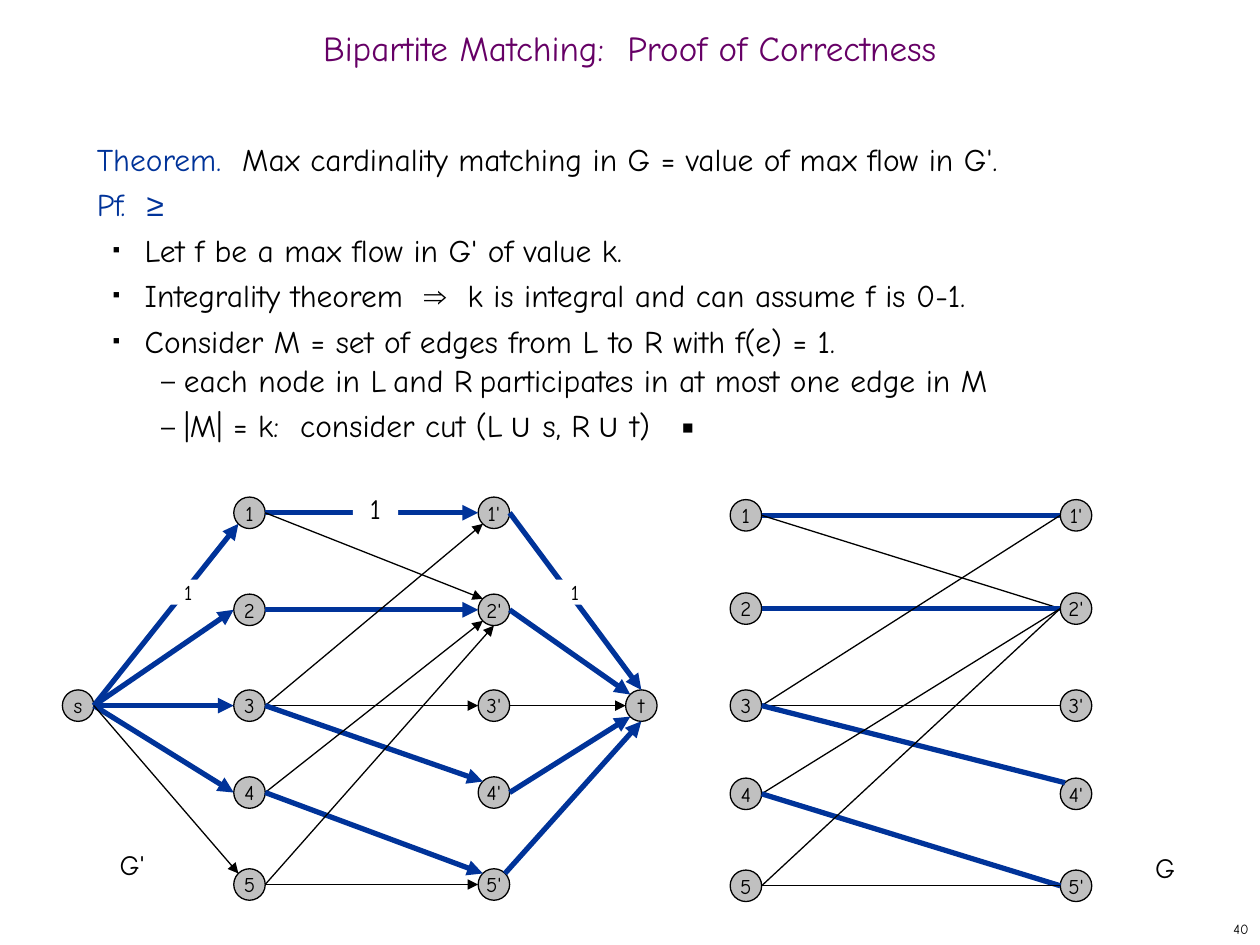
import pptx
import pptx.dml.color
import pptx.enum.shapes
import pptx.enum.text
import pptx.oxml
import pptx.oxml.ns
import pptx.util
from pptx.util import Inches

COLORS = {
    "text": "000000",
    "accent": "003399",
    "title": "660066",
    "node": "C0C0C0",
    "paper": "FFFFFF",
}
FONT = "Comic Neue"
SYMBOL_FONT = "Arial"
ALIGN = pptx.enum.text.PP_ALIGN
ANCHOR = pptx.enum.text.MSO_ANCHOR
SHAPE = pptx.enum.shapes.MSO_SHAPE
DIAGONAL = 0.7
SIDES = {
    "n": (0, -1), "s": (0, 1), "e": (1, 0), "w": (-1, 0),
    "nw": (-DIAGONAL, -DIAGONAL), "ne": (DIAGONAL, -DIAGONAL),
    "sw": (-DIAGONAL, DIAGONAL),
}
BULLETS = {1: ("■", 35, 0.38, -0.25), 2: ("–", 80, 0.69, -0.18)}


def color(name):
    return pptx.dml.color.RGBColor.from_string(COLORS[name])


def add_element(parent, tag, **attributes):
    element = pptx.oxml.parse_xml(f"<a:{tag} {pptx.oxml.ns.nsdecls('a')}/>")
    for name, value in attributes.items():
        element.set(name, str(value))
    parent.append(element)
    return element


class SlideBuilder:
    def __init__(self, slide, radius=0.125):
        self.slide = slide
        self.radius = radius

    def add_run(self, paragraph, text, size=18, ink="text", font=FONT, baseline=0):
        run = paragraph.add_run()
        run.text = text
        run.font.size = pptx.util.Pt(size)
        run.font.name = font
        run.font.color.rgb = color(ink)
        if baseline:
            run.font._element.set("baseline", str(baseline))

    def set_frame(self, frame, anchor=ANCHOR.TOP, wrap=True, inset=None):
        frame.word_wrap = wrap
        frame.vertical_anchor = anchor
        if inset is not None:
            frame.margin_left = frame.margin_right = Inches(inset)
            frame.margin_top = frame.margin_bottom = Inches(inset)

    def add_bullet(self, paragraph, level):
        character, percent, margin, indent = BULLETS[level]
        paragraph.level = level
        properties = paragraph._p.get_or_add_pPr()
        properties.set("marL", str(Inches(margin)))
        properties.set("indent", str(Inches(indent)))
        bullet_color = add_element(properties, "buClr")
        add_element(bullet_color, "srgbClr", val=COLORS["text"])
        add_element(properties, "buSzPct", val=percent * 1000)
        add_element(properties, "buFont", typeface=SYMBOL_FONT)
        add_element(properties, "buChar", char=character)

    def add_text(self, box, lines, align=ALIGN.LEFT, spacing=None, **frame_options):
        frame = self.slide.shapes.add_textbox(*map(Inches, box)).text_frame
        self.set_frame(frame, **frame_options)
        for index, (level, runs) in enumerate(lines):
            paragraph = frame.add_paragraph() if index else frame.paragraphs[0]
            if level:
                self.add_bullet(paragraph, level)
            paragraph.alignment = align
            if spacing:
                paragraph.line_spacing = spacing
            for text, options in runs:
                self.add_run(paragraph, text, **options)

    def add_shape(self, kind, box, fill, text, size):
        shape = self.slide.shapes.add_shape(kind, *map(Inches, box))
        shape.shadow.inherit = False
        shape.fill.solid()
        shape.fill.fore_color.rgb = color(fill)
        paragraph = shape.text_frame.paragraphs[0]
        paragraph.alignment = ALIGN.CENTER
        self.add_run(paragraph, text, size)
        return shape

    def add_node(self, label, center):
        x, y = center
        diameter = 2 * self.radius
        box = (x - self.radius, y - self.radius, diameter, diameter)
        shape = self.add_shape(SHAPE.OVAL, box, "node", label, 12)
        shape.line.color.rgb = color("text")
        shape.line.width = pptx.util.Pt(0.75)
        self.set_frame(shape.text_frame, ANCHOR.MIDDLE, wrap=False)

    def add_capacity(self, box, size):
        shape = self.add_shape(SHAPE.RECTANGLE, box, "paper", "1", size)
        shape.line.fill.background()
        self.set_frame(shape.text_frame, inset=0)

    def add_edge(self, start, end, matched, directed):
        connector = self.slide.shapes.add_connector(
            pptx.enum.shapes.MSO_CONNECTOR.STRAIGHT, *map(Inches, start + end))
        connector.line.color.rgb = color("accent" if matched else "text")
        connector.line.width = pptx.util.Pt(3 if matched else 0.75)
        if directed:
            add_element(connector.line._get_or_add_ln(), "tailEnd", type="triangle")
        add_element(connector._element.spPr, "effectLst")

    def add_graph(self, nodes, edges, matching, directed):
        for label, center in nodes.items():
            self.add_node(label, center)
        for source, target, *sides in edges:
            start_side, end_side = sides or ("e", "w")
            start, end = (
                tuple(c + self.radius * d for c, d in zip(nodes[label], SIDES[side]))
                for label, side in ((source, start_side), (target, end_side)))
            self.add_edge(start, end, (source, target) in matching, directed)


def make_columns(left, right, rows):
    nodes = {str(i): (left, y) for i, y in enumerate(rows, 1)}
    nodes.update({f"{i}'": (right, y) for i, y in enumerate(rows, 1)})
    return nodes


PLAIN = {}
BLUE = {"ink": "accent"}
SYMBOL = {"font": SYMBOL_FONT}
LOW_SPACE = (" ", {"size": 20, "baseline": -25000})
PROOF = [
    (0, [("Theorem.  ", BLUE),
         ("Max cardinality matching in G = value of max flow in G'.", PLAIN)]),
    (0, [("Pf.  ", BLUE), ("≥", {**BLUE, **SYMBOL})]),
    (1, [("Let f be a max flow in G' of value k.", PLAIN)]),
    (1, [("Integrality theorem  ", PLAIN), ("⇒", SYMBOL),
         ("  k is integral and can assume f is 0-1.", PLAIN)]),
    (1, [("Consider M = set of edges from L to R with f(e) = 1.", PLAIN)]),
    (2, [("each node in L", PLAIN), LOW_SPACE, ("and R", PLAIN), LOW_SPACE,
         ("participates in at most one edge in M", PLAIN)]),
    (2, [("|M| = k:  consider cut (L", PLAIN), LOW_SPACE, ("∪", SYMBOL),
         (" s, R", PLAIN), LOW_SPACE, ("∪", SYMBOL), (" t)   ▪", PLAIN)]),
]
MATCHING = {("1", "1'"), ("2", "2'"), ("3", "4'"), ("4", "5'")}
GRAPH_EDGES = [
    ("1", "1'"), ("1", "2'"), ("2", "2'"), ("3", "1'"), ("3", "3'"),
    ("3", "4'", "e", "nw"), ("4", "2'"), ("4", "5'"), ("5", "2'"), ("5", "5'"),
]
FLOW_EDGES = [
    ("s", "1", "e", "sw"), ("s", "2"), ("s", "3"), ("s", "4"),
    ("s", "5", "e", "nw"),
    ("1", "1'"), ("1", "2'", "e", "nw"), ("2", "2'"),
    ("3", "1'", "e", "sw"), ("3", "3'"), ("3", "4'", "e", "nw"),
    ("4", "2'", "e", "sw"), ("4", "5'", "e", "nw"),
    ("5", "2'", "e", "s"), ("5", "5'"),
    ("1'", "t", "e", "n"), ("2'", "t", "e", "nw"), ("3'", "t"),
    ("4'", "t", "e", "sw"), ("5'", "t", "ne", "s"),
]


def main():
    presentation = pptx.Presentation()
    presentation.slide_width = Inches(10)
    presentation.slide_height = Inches(7.5)
    builder = SlideBuilder(presentation.slides.add_slide(presentation.slide_layouts[6]))

    builder.add_text((7.93, 7.25, 2.08, 0.25), [(0, [("40", {"size": 8})])],
                     ALIGN.RIGHT, anchor=ANCHOR.MIDDLE, wrap=False)
    builder.add_text((0.67, 1, 8.58, 5.92), PROOF, spacing=pptx.util.Pt(26))
    title = ("Bipartite Matching:  Proof of Correctness", {"size": 20, "ink": "title"})
    builder.add_text((0, 0.17, 10, 0.5), [(0, [title])], ALIGN.CENTER,
                     spacing=0.7, anchor=ANCHOR.MIDDLE)

    graph = make_columns(5.92, 8.54, (4.09, 4.83, 5.6, 6.3, 7.03))
    builder.add_graph(graph, GRAPH_EDGES, MATCHING, directed=False)

    flow = make_columns(1.98, 3.92, (4.07, 4.84, 5.6, 6.29, 7.02))
    flow.update({"s": (0.62, 5.6), "t": (5.09, 5.6)})
    saturated = MATCHING.union(
        *({("s", left), (right, "t")} for left, right in MATCHING))
    builder.add_graph(flow, FLOW_EDGES, saturated, directed=True)

    for left in (1.31, 4.38):
        builder.add_capacity((left, 4.6, 0.37, 0.2), 12)
    builder.add_capacity((2.8, 3.9, 0.36, 0.27), 16)
    for name, left, top in (("G", 9.07, 6.7), ("G'", 0.85, 6.68)):
        builder.add_text((left, top, 0.61, 0.37), [(0, [(name, {"size": 16})])])

    presentation.save("out.pptx")


if __name__ == "__main__":
    main()
